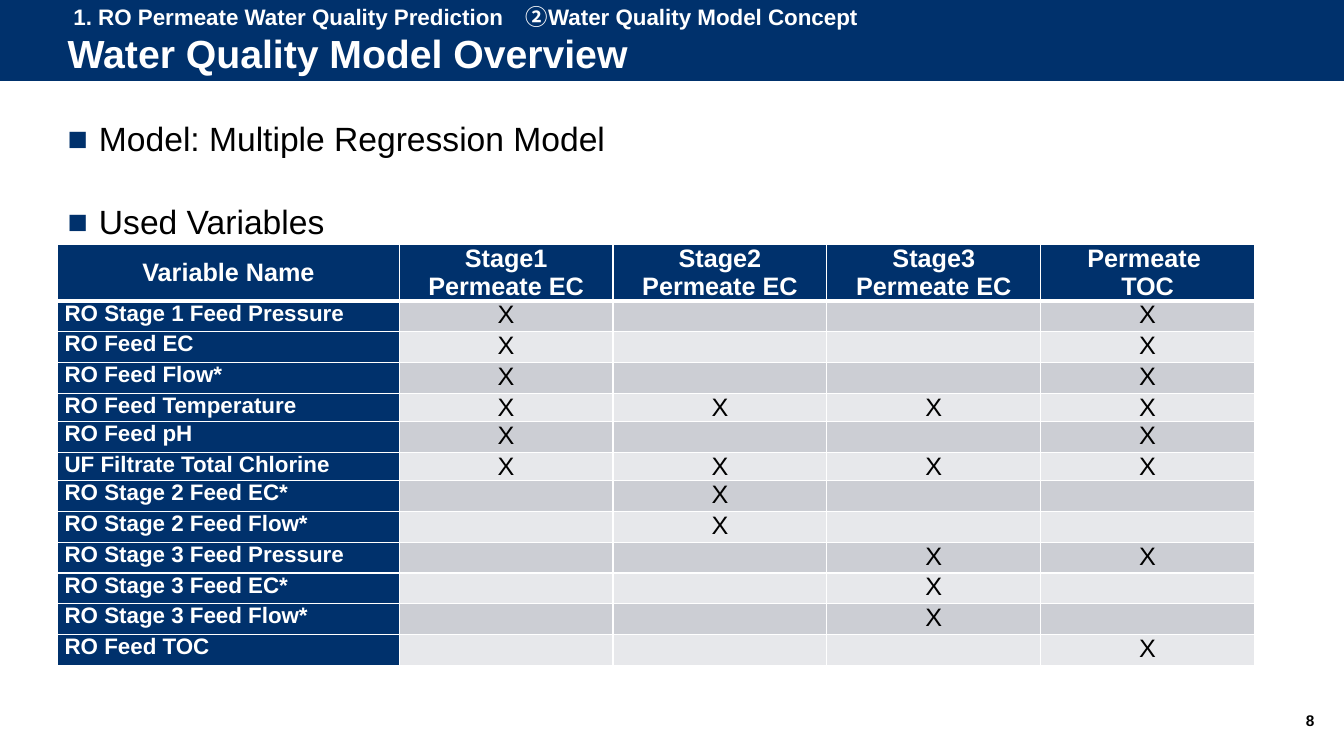
from dataclasses import dataclass

from lxml import etree
from pptx import Presentation
from pptx.dml.color import RGBColor
from pptx.enum.shapes import MSO_CONNECTOR, MSO_SHAPE
from pptx.enum.text import MSO_ANCHOR, MSO_AUTO_SIZE, PP_ALIGN
from pptx.oxml.ns import qn
from pptx.util import Pt

LEFT, CENTER, RIGHT = PP_ALIGN.LEFT, PP_ALIGN.CENTER, PP_ALIGN.RIGHT
TOP, MIDDLE = MSO_ANCHOR.TOP, MSO_ANCHOR.MIDDLE
NO_AUTOFIT = MSO_AUTO_SIZE.NONE
RECTANGLE = MSO_SHAPE.RECTANGLE
STRAIGHT = MSO_CONNECTOR.STRAIGHT

FONT = "Arial"
COLORS = {
    "navy": "00316C",
    "white": "FFFFFF",
    "black": "000000",
    "odd_row": "CCCED4",
    "even_row": "E7E8EB",
}
SLIDE_WIDTH, SLIDE_HEIGHT = 960, 540
BAND_HEIGHT = 58
HEADER_HEIGHT, ROW_HEIGHT = 40, 20.15
NAME_WIDTH, TARGET_WIDTH = 244, 152.75
HEADER_RULE, CELL_RULE = 3, 1


@dataclass(frozen=True)
class Variable:
    name: str
    used_in: tuple[int, ...]


HEADERS = ("Variable Name", "Stage1 Permeate EC", "Stage2 Permeate EC",
           "Stage3 Permeate EC", "Permeate \vTOC")
VARIABLES = (
    Variable("RO Stage 1 Feed Pressure", (1, 4)),
    Variable("RO Feed EC", (1, 4)),
    Variable("RO Feed Flow*", (1, 4)),
    Variable("RO Feed Temperature", (1, 2, 3, 4)),
    Variable("RO Feed pH", (1, 4)),
    Variable("UF Filtrate Total Chlorine", (1, 2, 3, 4)),
    Variable("RO Stage 2 Feed EC*", (2,)),
    Variable("RO Stage 2 Feed Flow*", (2,)),
    Variable("RO Stage 3 Feed Pressure", (3, 4)),
    Variable("RO Stage 3 Feed EC*", (3,)),
    Variable("RO Stage 3 Feed Flow*", (3,)),
    Variable("RO Feed TOC", (4,)),
)


def rgb(color: str) -> RGBColor:
    return RGBColor.from_string(COLORS[color])


def write(paragraph, text: str, *, size: float, color: str = "white", bold: bool = True,
          align=LEFT, line_spacing: float = 1.0, before: float = 0, after: float = 0) -> None:
    paragraph.text = text
    paragraph.alignment = align
    paragraph.line_spacing = line_spacing
    paragraph.space_before = Pt(before)
    paragraph.space_after = Pt(after)
    for run in paragraph.runs:
        run.font.name = FONT
        run.font.size = Pt(size)
        run.font.bold = bold
        run.font.color.rgb = rgb(color)


def place(shape, left: float, top: float, width: float, height: float, anchor=TOP):
    """Position a text shape and return its frame, wrapped and without autofit."""
    shape.left, shape.top, shape.width, shape.height = map(Pt, (left, top, width, height))
    frame = shape.text_frame
    frame.word_wrap = True
    frame.auto_size = NO_AUTOFIT
    frame.vertical_anchor = anchor
    return frame


def add_square_bullet(paragraph, indent: float) -> None:
    properties = paragraph._p.get_or_add_pPr()
    properties.set("marL", str(Pt(indent)))
    properties.set("indent", str(-Pt(indent)))
    bullet_color = etree.SubElement(properties, qn("a:buClr"))
    etree.SubElement(bullet_color, qn("a:srgbClr"), val=COLORS["navy"])
    etree.SubElement(properties, qn("a:buFont"), typeface=FONT)
    etree.SubElement(properties, qn("a:buChar"), char="■")


def format_cell(cell, fill: str, anchor, top_rule: float, bottom_rule: float) -> None:
    cell.margin_left = cell.margin_right = Pt(5)
    cell.margin_top = cell.margin_bottom = Pt(0)
    cell.vertical_anchor = anchor
    properties = cell._tc.get_or_add_tcPr()
    rules = {"lnL": CELL_RULE, "lnR": CELL_RULE, "lnT": top_rule, "lnB": bottom_rule}
    for side, width in rules.items():
        line = etree.SubElement(properties, qn(f"a:{side}"), w=str(Pt(width)))
        line_fill = etree.SubElement(line, qn("a:solidFill"))
        etree.SubElement(line_fill, qn("a:srgbClr"), val=COLORS["white"])
    cell.fill.solid()
    cell.fill.fore_color.rgb = rgb(fill)


def add_title_band(slide) -> None:
    """Draw the navy band and its lower rule behind the placeholders."""
    band = slide.shapes.add_shape(RECTANGLE, 0, 0, Pt(SLIDE_WIDTH), Pt(BAND_HEIGHT))
    band.shadow.inherit = False
    band.fill.solid()
    band.fill.fore_color.rgb = rgb("navy")
    band.line.fill.background()
    rule = slide.shapes.add_connector(
        STRAIGHT, 0, Pt(BAND_HEIGHT), Pt(SLIDE_WIDTH), Pt(BAND_HEIGHT))
    rule.line.color.rgb = rgb("white")
    rule.line.width = Pt(0.75)
    etree.SubElement(rule._element.spPr, qn("a:effectLst"))
    tree = slide.shapes._spTree
    for position, backdrop in enumerate((band, rule), start=2):
        tree.insert(position, backdrop._element)


def add_variable_table(slide) -> None:
    row_count, column_count = len(VARIABLES) + 1, len(HEADERS)
    table = slide.shapes.add_table(
        row_count, column_count, Pt(41.2), Pt(174.6),
        Pt(NAME_WIDTH + TARGET_WIDTH * (column_count - 1)),
        Pt(HEADER_HEIGHT + ROW_HEIGHT * len(VARIABLES))).table
    table.horz_banding = False
    for index, column in enumerate(table.columns):
        column.width = Pt(TARGET_WIDTH if index else NAME_WIDTH)
    for index, row in enumerate(table.rows):
        row.height = Pt(ROW_HEIGHT if index else HEADER_HEIGHT)

    for column, header in enumerate(HEADERS):
        cell = table.cell(0, column)
        format_cell(cell, "navy", MIDDLE, CELL_RULE, HEADER_RULE)
        write(cell.text_frame.paragraphs[0], header, size=18, align=CENTER, after=6)

    for row, variable in enumerate(VARIABLES, start=1):
        row_color = "odd_row" if row % 2 else "even_row"
        for column in range(column_count):
            cell = table.cell(row, column)
            format_cell(cell, row_color if column else "navy", TOP,
                        HEADER_RULE if row == 1 else CELL_RULE, CELL_RULE)
            paragraph = cell.text_frame.paragraphs[0]
            if column == 0:
                write(paragraph, variable.name, size=16, after=6)
            elif column in variable.used_in:
                write(paragraph, "X", size=18, color="black", bold=False,
                      align=CENTER, after=6)


def main() -> None:
    deck = Presentation()
    deck.slide_width, deck.slide_height = Pt(SLIDE_WIDTH), Pt(SLIDE_HEIGHT)
    slide = deck.slides.add_slide(deck.slide_layouts[1])
    add_title_band(slide)

    title = place(slide.shapes.title, 41.2, 19.4, 898, 41, MIDDLE)
    write(title.paragraphs[0], "Water Quality Model Overview", size=28, line_spacing=0.9)

    body = place(slide.placeholders[1], 41.2, 84.2, 893, 90)
    for index, topic in enumerate(("Model: Multiple Regression Model", "Used Variables")):
        paragraph = body.add_paragraph() if index else body.paragraphs[0]
        add_square_bullet(paragraph, 22.3)
        write(paragraph, topic, size=24, color="black", bold=False,
              line_spacing=0.9, before=33 if index else 0)

    add_variable_table(slide)

    section = place(slide.shapes.add_textbox(0, 0, 0, 0), 45.4, -1.4, 665, 26.6)
    write(section.paragraphs[0],
          "1. RO Permeate Water Quality Prediction　②Water Quality Model Concept", size=16)

    page_number = place(slide.shapes.add_textbox(0, 0, 0, 0), 914.4, 500.4, 31.7, 28.8, MIDDLE)
    write(page_number.paragraphs[0], "8", size=11, color="black", align=RIGHT)

    deck.save("out.pptx")


if __name__ == "__main__":
    main()
